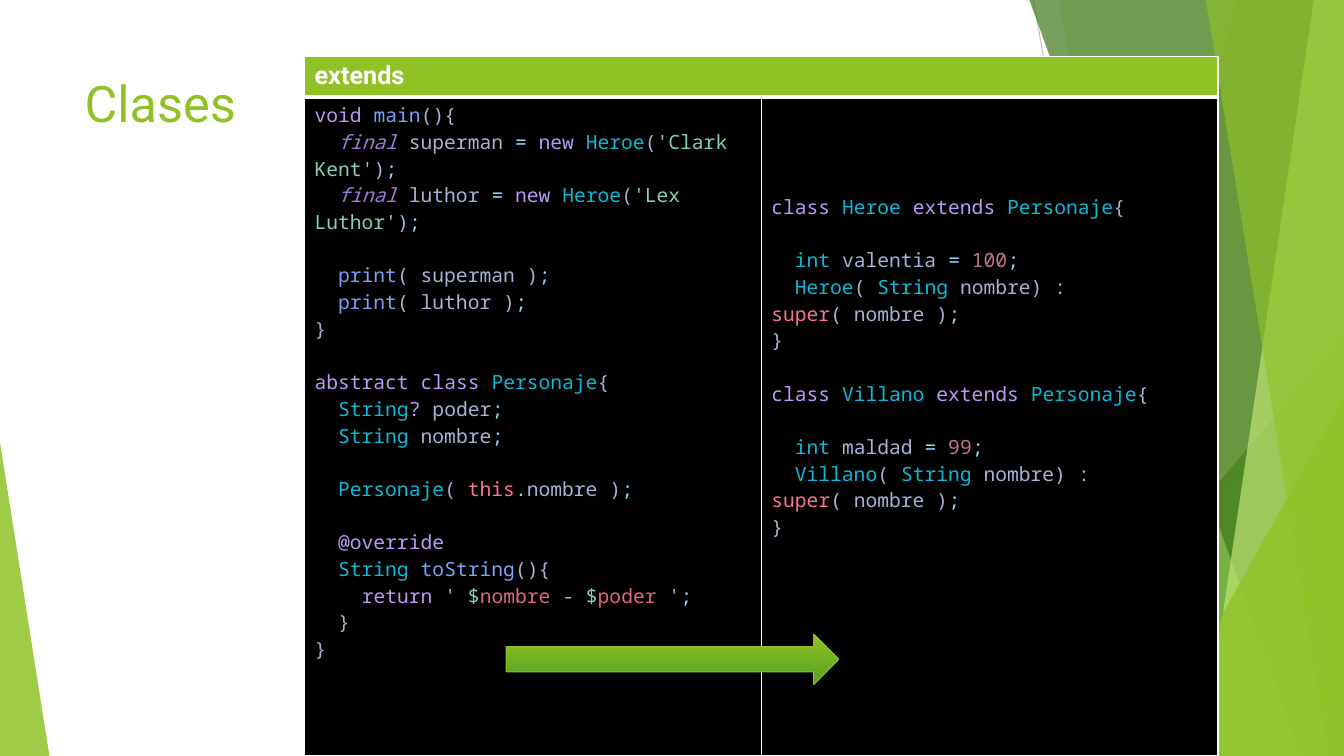
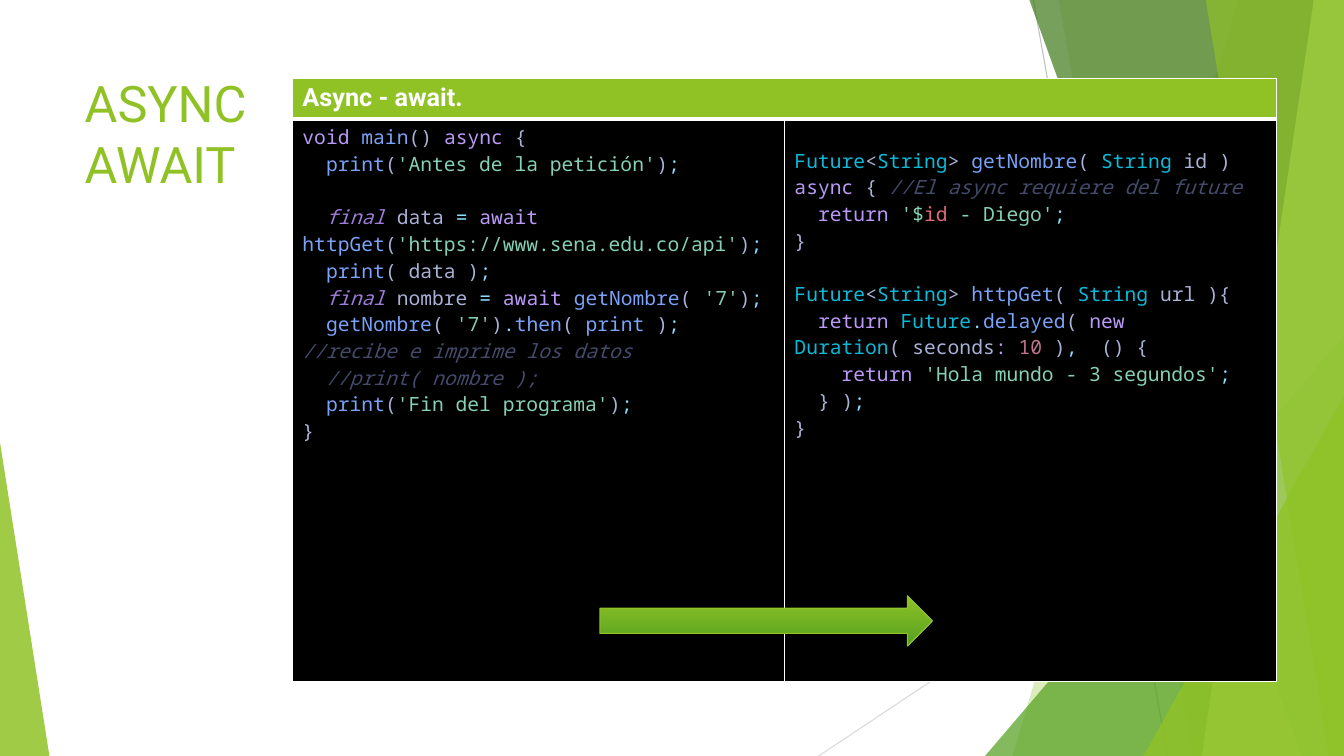
import itertools
from dataclasses import dataclass

import pptx
import pptx.dml.color
import pptx.dml.fill
import pptx.enum.shapes
import pptx.enum.text
import pptx.oxml
import pptx.oxml.ns
import pptx.presentation
import pptx.shapes.autoshape
import pptx.shapes.group
import pptx.slide
import pptx.table
import pptx.text.text
import pptx.util
from pptx.util import Inches

WIDTH, HEIGHT = 13.33, 7.5
GREEN, DEEP_GREEN, WHITE, BLACK = "90C226", "54A021", "FFFFFF", "000000"
TITLE_FONT, CODE_FONT = "Roboto", "Noto Sans Mono"
CODE_SIZE, CODE_LINE = 14, 19
HEADER_HEIGHT, CELL_MARGIN = 0.4, 0.05

PLAIN, KEYWORD, TYPE, FUNCTION = "A9B1D6", "BB9AF7", "0DB9D7", "7AA2F7"
OPERATOR, STRING, INSERTED, NUMBER = "89DDFF", "85D0B7", "E0687A", "C0768E"
FINAL, SELF, COMMENT = "9D7CD8", "F7768E", "444B6A"
ITALIC_COLORS = (FINAL, COMMENT)

VOCABULARY = {
    KEYWORD: "void new abstract class extends return async await override ? : @",
    TYPE: "Heroe Villano Personaje String int Future Duration",
    FUNCTION: "main print toString httpGet getNombre then delayed",
    OPERATOR: "= ; . ,",
    FINAL: "final",
    SELF: "this super",
}
WORD_COLORS = {word: color for color, words in VOCABULARY.items() for word in words.split()}


@dataclass(frozen=True)
class Ray:
    start: tuple[float, float]
    end: tuple[float, float]
    color: str


@dataclass(frozen=True)
class Band:
    """Full-height area reaching from a slanted left edge to the right of the page."""
    top_x: float
    bottom_x: float
    color: str
    opacity: int


@dataclass(frozen=True)
class Wedge:
    """Triangle standing on the bottom edge; apex is 0 (left) to 1 (right)."""
    left: float
    top: float
    width: float
    apex: float
    color: str
    opacity: int


@dataclass(frozen=True)
class CodePage:
    title: str
    header: str
    left: float
    top: float
    column_width: float
    body_height: float
    codes: tuple[str, str]
    right_offset: float
    arrow_at: tuple[float, float]


RAYS = (
    Ray((10.25, 0), (11.58, HEIGHT), "BFBFBF"),
    Ray((WIDTH, 4.03), (8.12, HEIGHT), "D9D9D9"),
)
FACETS = (
    Band(12.28, 10.04, GREEN, 30),
    Band(10.5, 11.83, GREEN, 20),
    Wedge(9.77, 3.33, 3.56, 1, DEEP_GREEN, 72),
    Band(10.21, 12.91, "3F7819", 70),
    Band(13.03, 11.92, "C0E474", 70),
    Band(11.96, 13.18, GREEN, 65),
    Wedge(11.34, 3.93, 1.99, 1, GREEN, 80),
    Wedge(0, 4.39, 0.49, 0, GREEN, 85),
)

CLASSES_MAIN = """void main(){
  final superman = new Heroe('Clark Kent');
  final luthor = new Heroe('Lex Luthor');

  print( superman );
  print( luthor );
}

abstract class Personaje{
  String? poder;
  String nombre;

  Personaje( this.nombre );

  @override
  String toString(){
    return ' $nombre - $poder ';
  }
}"""
CLASSES_CHILDREN = """class Heroe extends Personaje{

  int valentia = 100;
  Heroe( String nombre) : super( nombre );
}

class Villano extends Personaje{

  int maldad = 99;
  Villano( String nombre) : super( nombre );
}"""
ASYNC_MAIN = """void main() async {
  print('Antes de la petición');

  final data = await httpGet('https://www.sena.edu.co/api');
  print( data );
  final nombre = await getNombre( '7');
  getNombre( '7').then( print ); //recibe e imprime los datos
  //print( nombre );
  print('Fin del programa');
}"""
ASYNC_FUTURES = """Future<String> getNombre( String id ) async { //El async requiere del future
  return '$id - Diego';
}

Future<String> httpGet( String url ){
  return Future.delayed( new Duration( seconds: 10 ),  () {
    return 'Hola mundo - 3 segundos';
  } );
}"""

PAGES = (
    CodePage("Clases", "extends", 3.02, 0.56, 4.53, 6.54,
             (CLASSES_MAIN, CLASSES_CHILDREN), 0.91, (5.02, 6.29)),
    CodePage("ASYNC\nAWAIT", "Async - await.", 2.9, 0.78, 4.88, 5.58,
             (ASYNC_MAIN, ASYNC_FUTURES), 0.23, (5.95, 5.91)),
)


def rgb(color: str) -> pptx.dml.color.RGBColor:
    return pptx.dml.color.RGBColor.from_string(color)


def fill_solid(fill: pptx.dml.fill.FillFormat, color: str) -> None:
    fill.solid()
    fill.fore_color.rgb = rgb(color)


def add_span(para: pptx.text.text._Paragraph, text: str, font: str, size: int,
             color: str, bold: bool = False, italic: bool = False) -> None:
    span = para.add_run()
    span.text = text
    span.font.name = font
    span.font.size = pptx.util.Pt(size)
    span.font.bold = bold
    span.font.italic = italic
    span.font.color.rgb = rgb(color)


def color_words(line: str) -> list[tuple[str, str]]:
    """Split a code line into (colour, text) pairs."""
    code, mark, comment = line.partition(" //")
    words = []
    quoted, previous = False, ""
    for _, letters in itertools.groupby(code, lambda sign: "word" if sign.isalnum() else sign):
        word = "".join(letters)
        if word == "'":
            quoted = not quoted
            color = STRING
        elif quoted:
            color = INSERTED if previous == "$" else STRING
        elif word.isdigit():
            color = NUMBER
        else:
            color = WORD_COLORS.get(word, PLAIN)
        words.append((color, word))
        previous = word
    if mark:
        words.append((COMMENT, mark + comment))
    return words


def write_code(cell: pptx.table._Cell, code: str) -> None:
    """Write coloured code, turning its blank lines into paragraph spacing."""
    frame = cell.text_frame
    para = frame.paragraphs[0]
    blank_lines = 0
    for index, line in enumerate(code.splitlines()):
        if not line:
            blank_lines += 1
            continue
        if index:
            para = frame.add_paragraph()
            para.space_before = pptx.util.Pt(CODE_LINE * blank_lines)
        blank_lines = 0
        for color, words in itertools.groupby(color_words(line), lambda pair: pair[0]):
            add_span(para, "".join(text for _, text in words), CODE_FONT, CODE_SIZE,
                     color, italic=color in ITALIC_COLORS)


def set_borders(cell: pptx.table._Cell, top: int, bottom: int) -> None:
    """Draw white borders; must run before the cell gets its fill."""
    properties = cell._tc.get_or_add_tcPr()
    for side, points in (("L", 1), ("R", 1), ("T", top), ("B", bottom)):
        properties.append(pptx.oxml.parse_xml(
            f'<a:ln{side} {pptx.oxml.ns.nsdecls("a")} w="{pptx.util.Pt(points)}">'
            f'<a:solidFill><a:srgbClr val="{WHITE}"/></a:solidFill></a:ln{side}>'))


def draw_facet(group: pptx.shapes.group.GroupShape, facet: Band | Wedge) -> None:
    if isinstance(facet, Band):
        outline = group.shapes.build_freeform(Inches(facet.top_x), 0)
        corners = ((WIDTH, 0), (WIDTH, HEIGHT), (facet.bottom_x, HEIGHT))
        outline.add_line_segments([(Inches(x), Inches(y)) for x, y in corners])
        shape = outline.convert_to_shape()
    else:
        shape = group.shapes.add_shape(
            pptx.enum.shapes.MSO_SHAPE.ISOSCELES_TRIANGLE, Inches(facet.left),
            Inches(facet.top), Inches(facet.width), Inches(HEIGHT - facet.top))
        shape.adjustments[0] = facet.apex
    shape.shadow.inherit = False
    shape.line.fill.background()
    fill_solid(shape.fill, facet.color)
    color = shape.element.spPr.find(".//" + pptx.oxml.ns.qn("a:srgbClr"))
    color.append(pptx.oxml.parse_xml(
        f'<a:alpha {pptx.oxml.ns.nsdecls("a")} val="{facet.opacity * 1000}"/>'))


def decorate_layout(layout: pptx.slide.SlideLayout, page: pptx.slide.Slide) -> None:
    """Draw the backdrop on a page and move it into the layout that all pages share."""
    group = page.shapes.add_group_shape()
    for ray in RAYS:
        line = group.shapes.add_connector(
            pptx.enum.shapes.MSO_CONNECTOR.STRAIGHT,
            *(Inches(value) for value in ray.start + ray.end))
        line.line.width = pptx.util.Pt(0.75)
        line.line.color.rgb = rgb(ray.color)
        line.element.spPr.append(pptx.oxml.parse_xml(
            f'<a:effectLst {pptx.oxml.ns.nsdecls("a")}/>'))
    for facet in FACETS:
        draw_facet(group, facet)
    for number, properties in enumerate(group.element.xpath(".//p:cNvPr"), 100):
        properties.set("id", str(number))
    layout.shapes.element.insert(2, group.element)


def write_title(page: pptx.slide.Slide, text: str) -> None:
    title = page.shapes.title
    title.left, title.top = Inches(0.74), Inches(0.67)
    title.width, title.height = Inches(9.4), Inches(1.44)
    frame = title.text_frame
    frame.vertical_anchor = pptx.enum.text.MSO_ANCHOR.TOP
    frame.auto_size = pptx.enum.text.MSO_AUTO_SIZE.NONE
    para = frame.paragraphs[0]
    para.alignment = pptx.enum.text.PP_ALIGN.LEFT
    for index, line in enumerate(text.splitlines()):
        if index:
            para.add_line_break()
        add_span(para, line, TITLE_FONT, 36, GREEN)


def add_code_table(page: pptx.slide.Slide, content: CodePage) -> None:
    table = page.shapes.add_table(
        2, 2, Inches(content.left), Inches(content.top), Inches(2 * content.column_width),
        Inches(HEADER_HEIGHT + content.body_height)).table
    table.horz_banding = False
    for column in table.columns:
        column.width = Inches(content.column_width)
    table.rows[0].height = Inches(HEADER_HEIGHT)
    table.rows[1].height = Inches(content.body_height)
    for column in range(2):
        header, body = table.cell(0, column), table.cell(1, column)
        set_borders(header, 1, 3)
        set_borders(body, 3, 1)
        fill_solid(header.fill, GREEN)
        fill_solid(body.fill, BLACK)
        body.margin_top = Inches(CELL_MARGIN + column * content.right_offset)
        write_code(body, content.codes[column])
    table.cell(0, 0).merge(table.cell(0, 1))
    add_span(table.cell(0, 0).text_frame.paragraphs[0], content.header,
             TITLE_FONT, 18, WHITE, bold=True)


def add_arrow(page: pptx.slide.Slide, left: float, top: float) -> None:
    arrow = page.shapes.add_shape(pptx.enum.shapes.MSO_SHAPE.RIGHT_ARROW, Inches(left),
                                  Inches(top), Inches(3.3), Inches(0.5))
    arrow.shadow.inherit = False
    arrow.fill.gradient()
    arrow.fill.gradient_angle = 270
    for stop, color in zip(arrow.fill.gradient_stops, (GREEN, DEEP_GREEN)):
        stop.color.rgb = rgb(color)
    arrow.line.color.rgb = rgb(GREEN)
    arrow.line.width = pptx.util.Pt(0.75)


def main() -> None:
    deck = pptx.Presentation()
    deck.slide_width, deck.slide_height = Inches(WIDTH), Inches(HEIGHT)
    layout = deck.slide_layouts[5]
    for index, content in enumerate(PAGES):
        page = deck.slides.add_slide(layout)
        if index == 0:
            decorate_layout(layout, page)
        write_title(page, content.title)
        add_code_table(page, content)
        add_arrow(page, *content.arrow_at)
    deck.save("out.pptx")


if __name__ == "__main__":
    main()
